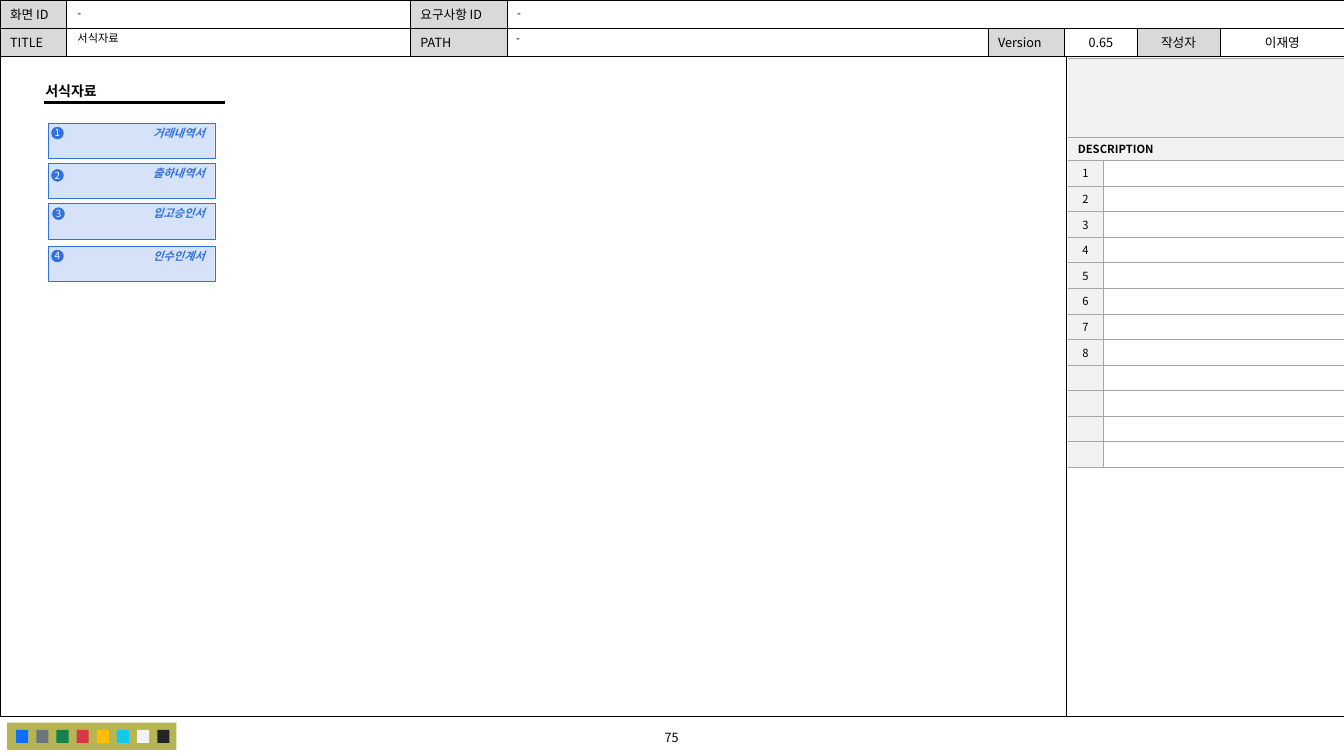
import dataclasses

import lxml.etree
import pptx
import pptx.dml.color
import pptx.enum.shapes
import pptx.enum.text
import pptx.oxml
import pptx.oxml.ns
import pptx.util

Inches = pptx.util.Inches
Align = pptx.enum.text.PP_ALIGN
Anchor = pptx.enum.text.MSO_ANCHOR
Shapes = pptx.enum.shapes.MSO_SHAPE
qn = pptx.oxml.ns.qn


@dataclasses.dataclass(frozen=True)
class Theme:
    """Hold the font, colours and type sizes."""
    font: str = "Noto Sans CJK KR"
    black: str = "000000"
    white: str = "FFFFFF"
    label: str = "D9D9D9"
    panel: str = "F2F2F2"
    rule: str = "A6A6A6"
    accent: str = "3272DE"
    accent_text: str = "3272DD"
    palette: str = "B7B553"
    swatches: tuple = ("0D6EFD", "6C757D", "10834E", "DC3545",
                       "FFBE00", "0DCAF0", "F2F2F2", "212529")
    heading: int = 10
    header: int = 9
    body: int = 8
    badge: int = 7


class SlideBuilder:
    """Draw styled elements on the current slide."""

    def __init__(self, slide, theme):
        self.slide = slide
        self.theme = theme

    def color(self, value):
        return pptx.dml.color.RGBColor.from_string(value)

    def set_text(self, text_frame, text, size, color=None, align=Align.LEFT,
                 bold=False, italic=False):
        text_frame.text = text
        paragraph = text_frame.paragraphs[0]
        paragraph.alignment = align
        if not text:
            paragraph._p.get_or_add_endParaRPr().set("sz", str(size * 100))
        for run in paragraph.runs:
            font = run.font
            font.name = self.theme.font
            font.size = pptx.util.Pt(size)
            font.bold = bold
            font.italic = italic
            font.color.rgb = self.color(color or self.theme.black)
            east_asian = lxml.etree.SubElement(run._r.get_or_add_rPr(), qn("a:ea"))
            east_asian.set("typeface", self.theme.font)

    def set_margins(self, target, left, top):
        target.margin_left = target.margin_right = Inches(left)
        target.margin_top = target.margin_bottom = Inches(top)

    def text(self, box, text, size, wrap=True, margins=(0.1, 0.05), **style):
        shape = self.slide.shapes.add_textbox(*map(Inches, box))
        text_frame = shape.text_frame
        text_frame.word_wrap = wrap
        text_frame.vertical_anchor = Anchor.MIDDLE
        self.set_margins(text_frame, *margins)
        self.set_text(text_frame, text, size, **style)

    def shape(self, box, fill=None, line=None, kind=Shapes.RECTANGLE, opacity=None):
        shape = self.slide.shapes.add_shape(kind, *map(Inches, box))
        shape.shadow.inherit = False
        if fill:
            shape.fill.solid()
            shape.fill.fore_color.rgb = self.color(fill)
        else:
            shape.fill.background()
        if opacity:
            fill_color = shape._element.spPr.find(qn("a:solidFill"))[0]
            alpha = lxml.etree.SubElement(fill_color, qn("a:alpha"))
            alpha.set("val", str(opacity * 1000))
        if line:
            shape.line.color.rgb = self.color(line)
            shape.line.width = pptx.util.Pt(0.25)
        else:
            shape.line.fill.background()
        return shape

    def line(self, start, end, width):
        connector = self.slide.shapes.add_connector(
            pptx.enum.shapes.MSO_CONNECTOR.STRAIGHT, *map(Inches, start + end))
        connector.line.color.rgb = self.color(self.theme.black)
        connector.line.width = pptx.util.Pt(width)
        lxml.etree.SubElement(connector._element.spPr, qn("a:effectLst"))

    def card(self, top, text):
        shape = self.shape((0.48, top, 1.65, 0.35), self.theme.accent,
                           self.theme.accent, opacity=20)
        text_frame = shape.text_frame
        text_frame.vertical_anchor = Anchor.TOP
        self.set_margins(text_frame, 0.1, 0.03)
        self.set_text(text_frame, text, self.theme.body, self.theme.accent_text,
                      Align.RIGHT, bold=True, italic=True)

    def badge(self, left, top, number):
        shape = self.shape((left, top, 0.12, 0.12), self.theme.accent,
                           self.theme.accent, Shapes.OVAL)
        text_frame = shape.text_frame
        text_frame.word_wrap = False
        text_frame.vertical_anchor = Anchor.MIDDLE
        self.set_margins(text_frame, 0, 0.05)
        self.set_text(text_frame, str(number), self.theme.badge, self.theme.white, Align.CENTER)

    def table(self, left, top, columns, rows):
        shape = self.slide.shapes.add_table(
            len(rows), len(columns), Inches(left), Inches(top),
            Inches(sum(columns)), Inches(sum(rows)))
        table = shape.table
        table.first_row = table.horz_banding = False
        for column, width in zip(table.columns, columns):
            column.width = Inches(width)
        for row, height in zip(table.rows, rows):
            row.height = Inches(height)
        return table

    def cell(self, cell, text, size, fill, border, sides, margins, **style):
        cell.vertical_anchor = Anchor.MIDDLE
        self.set_margins(cell, *margins)
        self.set_text(cell.text_frame, text, size, **style)
        if fill:
            cell.fill.solid()
            cell.fill.fore_color.rgb = self.color(fill)
        else:
            cell.fill.background()
        properties = cell._tc.get_or_add_tcPr()
        for index, side in enumerate("LRTB"):
            namespace = pptx.oxml.ns.nsdecls("a")
            paint = (f'<a:solidFill><a:srgbClr val="{border}"/></a:solidFill>'
                     if side in sides else "<a:noFill/>")
            properties.insert(index, pptx.oxml.parse_xml(
                f'<a:ln{side} {namespace} w="6350">{paint}</a:ln{side}>'))

    def header_table(self):
        theme = self.theme
        rows = (("화면 ID", "", "요구사항 ID", "", "", "", "", ""),
                ("TITLE", "", "PATH", "", "Version", "0.65", "작성자", "이재영"))
        table = self.table(0, 0, (0.66, 3.41, 0.96, 4.77, 0.76, 0.72, 0.82, 1.24), (0.28, 0.28))
        table.cell(0, 3).merge(table.cell(0, 7))
        for row, texts in enumerate(rows):
            for column, text in enumerate(texts):
                is_label = column % 2 == 0 and text
                self.cell(table.cell(row, column), text, theme.header,
                          theme.label if is_label else theme.white,
                          theme.black, "LRTB", (0.1, 0.04),
                          align=Align.CENTER if column > 4 else Align.LEFT)

    def description_table(self):
        theme = self.theme
        item_count, numbered = 12, 8
        item_height = (4.06 - 0.78 - 0.23) / item_count
        table = self.table(10.59, 0.58, (0.35, 2.39), [0.78, 0.23] + [item_height] * item_count)
        for row, text in enumerate(("", "DESCRIPTION")):
            table.cell(row, 0).merge(table.cell(row, 1))
            for column in range(2):
                self.cell(table.cell(row, column), "" if column else text, theme.body,
                          theme.panel, theme.rule, "TB", (0.1, 0.02), bold=True)
        for number in range(1, item_count + 1):
            text = str(number) if number <= numbered else ""
            self.cell(table.cell(number + 1, 0), text, theme.body, theme.panel,
                      theme.rule, "RTB", (0, 0), align=Align.CENTER)
            self.cell(table.cell(number + 1, 1), "", theme.body, None,
                      theme.rule, "LTB", (0, 0))


def main():
    """Build the form list slide and save it."""
    presentation = pptx.Presentation()
    presentation.slide_width = Inches(13.33)
    presentation.slide_height = Inches(7.5)
    theme = Theme()
    builder = SlideBuilder(presentation.slides.add_slide(presentation.slide_layouts[6]), theme)

    builder.header_table()
    builder.shape((0, 0.56, 13.33, 6.55), line=theme.black)
    builder.text((5.37, 7.19, 2.58, 0.25), "75", theme.header, align=Align.CENTER)
    builder.line((10.58, 0.56), (10.58, 7.11), 0.5)
    builder.shape((0.07, 7.17, 1.68, 0.27), theme.palette)
    for index, swatch in enumerate(theme.swatches):
        builder.shape((0.16 + 0.2 * index, 7.24, 0.12, 0.13), swatch)

    for box, text in (((5.03, 0.01, 8.29, 0.23), "-"), ((0.67, 0.01, 3.4, 0.23), "-"),
                      ((0.67, 0.28, 3.38, 0.2), "서식자료"), ((5.02, 0.26, 4.74, 0.23), "-")):
        builder.text(box, text, theme.body)
    builder.text((0.45, 0.82, 0.56, 0.17), "서식자료", theme.heading,
                 wrap=False, margins=(0, 0), bold=True)
    builder.line((0.44, 1.02), (2.23, 1.02), 2.25)
    builder.description_table()

    cards = ((1.22, "거래내역서", 0.51, 1.26), (1.62, "출하내역서", 0.51, 1.68),
             (2.02, "입고승인서", 0.52, 2.06), (2.44, "인수인계서", 0.51, 2.48))
    for number, (top, text, badge_left, badge_top) in enumerate(cards, 1):
        builder.card(top, text)
        builder.badge(badge_left, badge_top, number)
    presentation.save("out.pptx")


if __name__ == "__main__":
    main()
